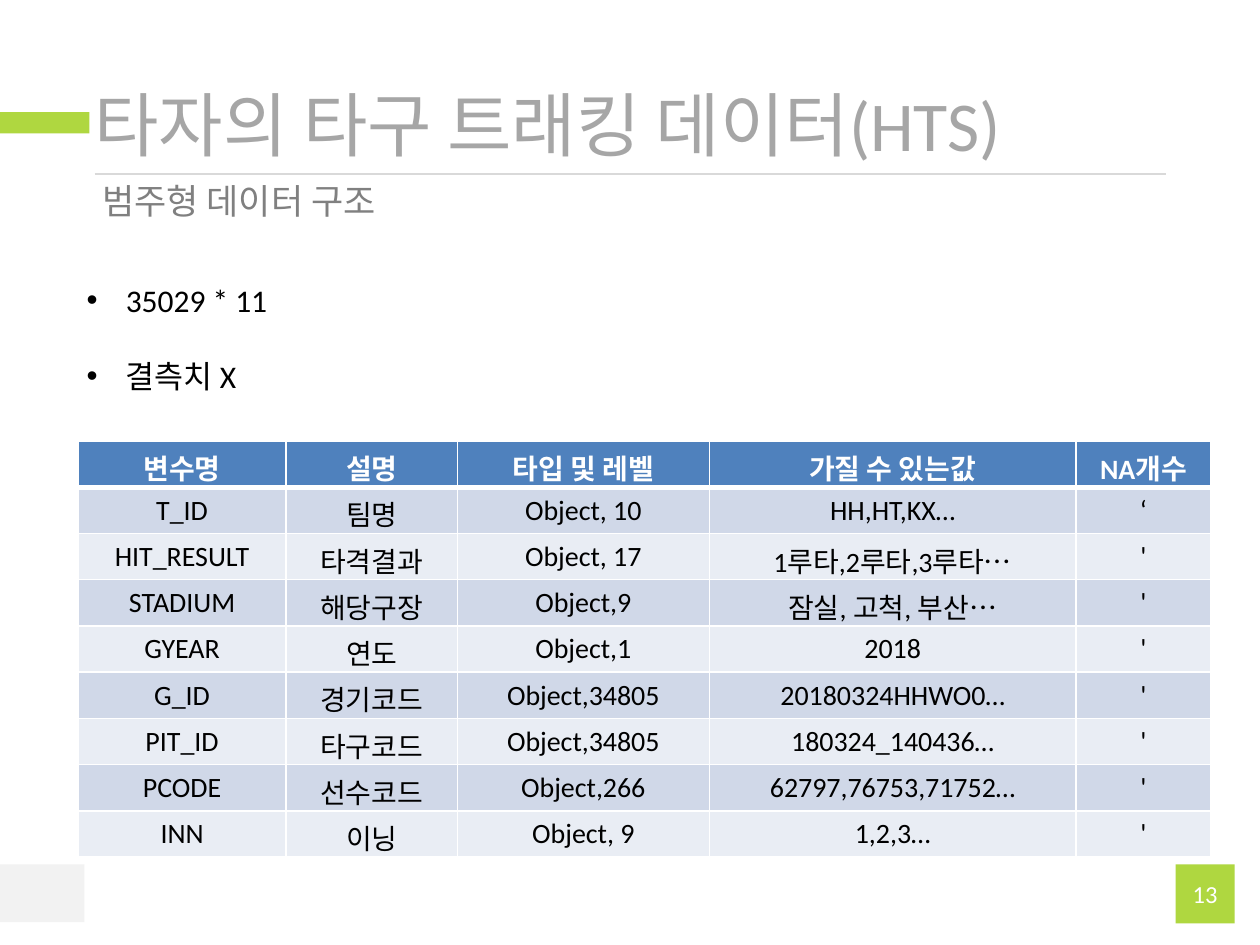
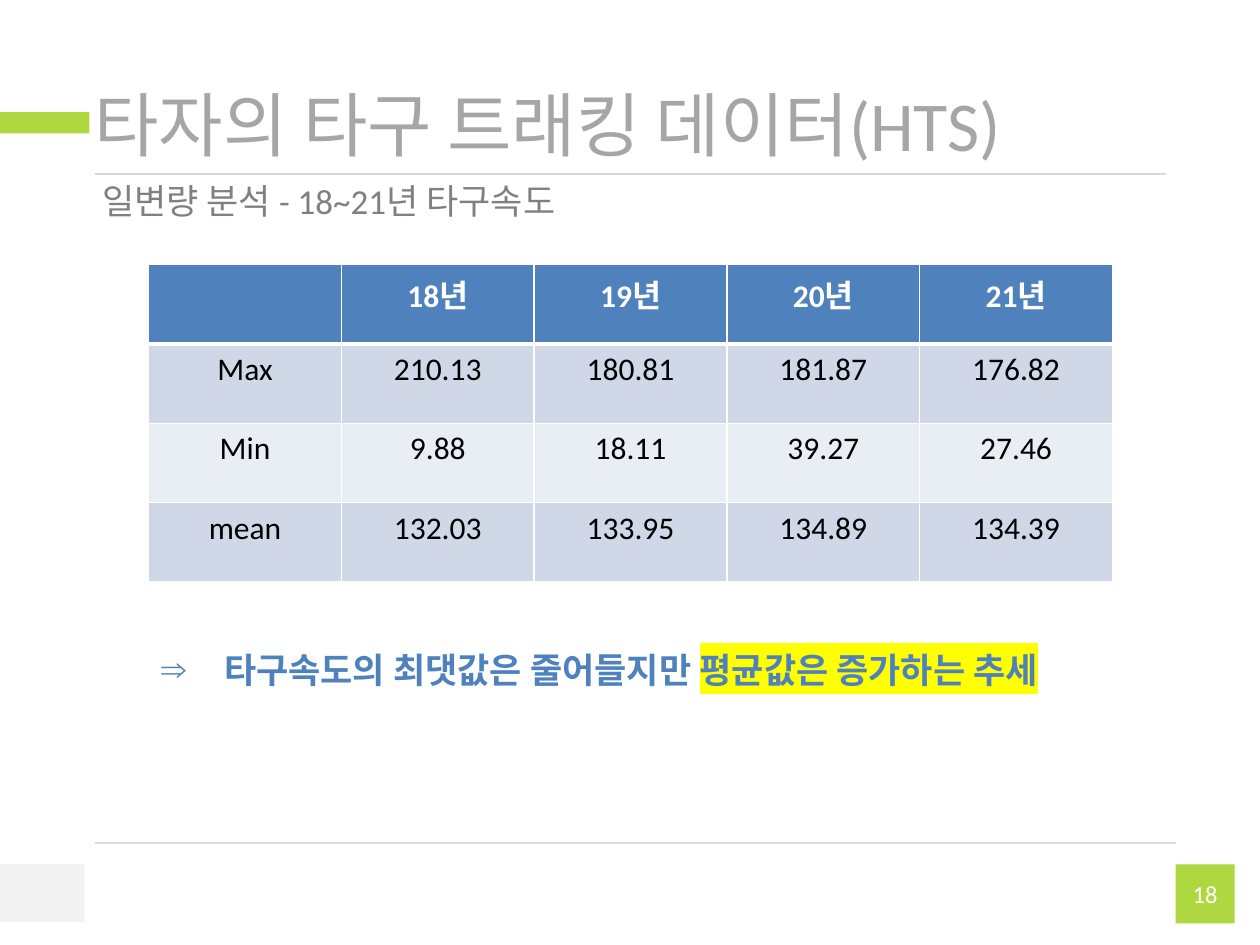
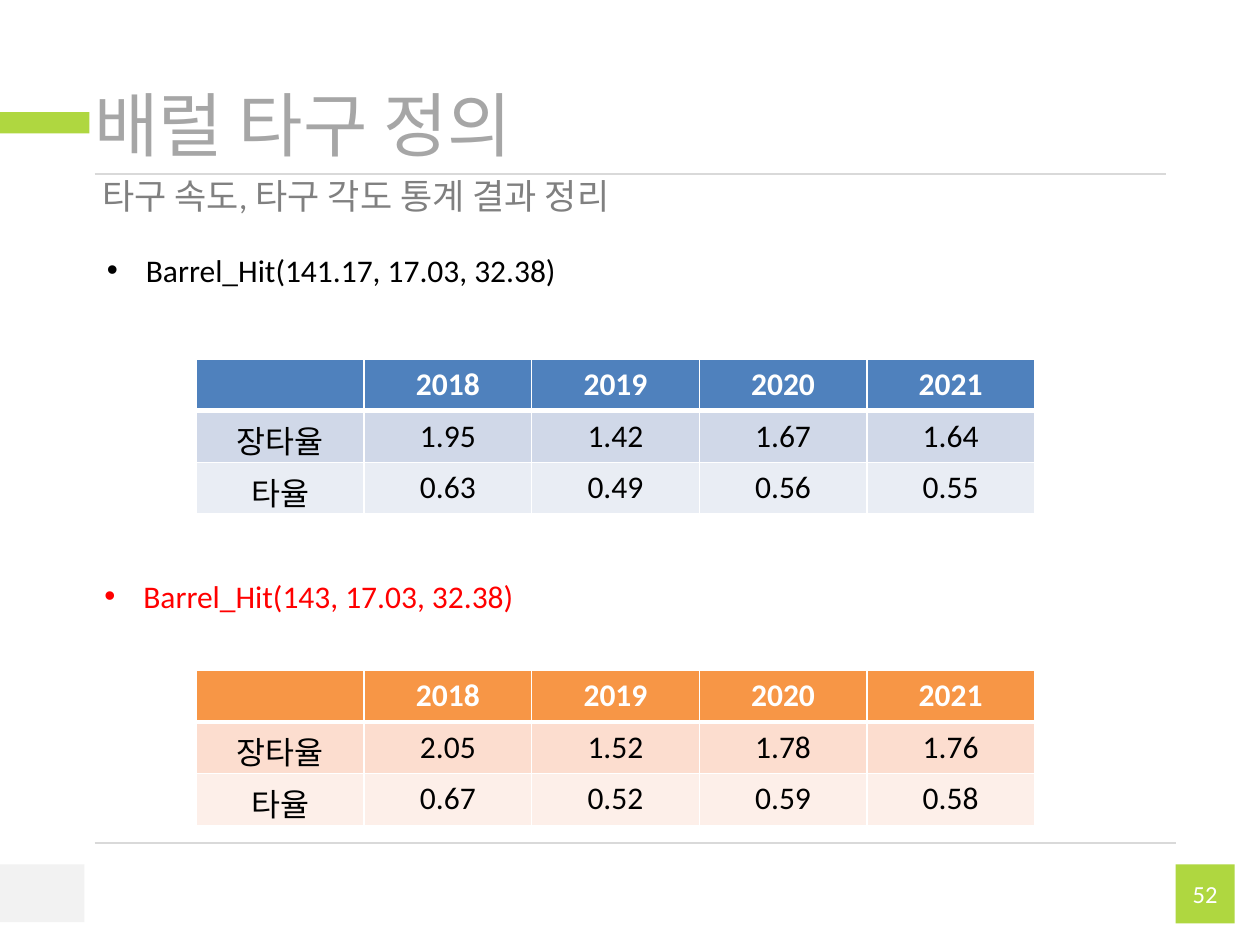
from lxml import etree
from pptx import Presentation
from pptx.dml.color import RGBColor
from pptx.enum.shapes import MSO_CONNECTOR, MSO_SHAPE
from pptx.enum.text import MSO_ANCHOR, PP_ALIGN
from pptx.oxml.ns import qn
from pptx.util import Inches, Pt

LEFT, MID = PP_ALIGN.LEFT, PP_ALIGN.CENTER
TOP, CORE = MSO_ANCHOR.TOP, MSO_ANCHOR.MIDDLE
RECT, LINE = MSO_SHAPE.RECTANGLE, MSO_CONNECTOR.STRAIGHT
UNIT = Inches(0.01)
FONT = "Calibri"
LIME, PALE, RULE = "AFD740", "F2F2F2", "D9D9D9"
GREY, DIM = "A6A6A6", "808080"
WHITE, BLACK, RED, BLUE = "FFFFFF", "000000", "FF0000", "4F81BD"
COOL = [BLUE, "D0D8E8", "E9EDF4"]
WARM = ["F79646", "FCDDCF", "FDEFE9"]


def hue(code):
    return RGBColor.from_string(code)


def write(frame, *lines, size=18, color=BLACK, bold=False, align=LEFT, anchor=TOP,
          pad=(10, 5, 10, 5), bullet="", hang=0, gap=0, mark=""):
    frame.word_wrap = True
    frame.vertical_anchor = anchor
    (frame.margin_left, frame.margin_top,
     frame.margin_right, frame.margin_bottom) = [n * UNIT for n in pad]
    for i, line in enumerate(lines):
        para = frame.add_paragraph() if i else frame.paragraphs[0]
        para.alignment = align
        if i and gap:
            para.space_before = Pt(gap)
        if bullet:
            props = para._p.get_or_add_pPr()
            props.set("marL", str(hang * UNIT))
            props.set("indent", str(-hang * UNIT))
            etree.SubElement(props, qn("a:buFont")).set("typeface", "Arial")
            etree.SubElement(props, qn("a:buChar")).set("char", bullet)
        for part in [line, mark] if mark else [line]:
            run = para.add_run()
            run.text = part
            run.font.name = FONT
            run.font.size = Pt(size)
            run.font.bold = bold
            run.font.color.rgb = hue(color)
            if part == mark:
                light = etree.Element(qn("a:highlight"))
                etree.SubElement(light, qn("a:srgbClr")).set("val", "FFFF00")
                run._r.rPr.find(qn("a:solidFill")).addnext(light)


HITS = "타자의 타구 트래킹 데이터(HTS)"
YEARS = ["", "2018", "2019", "2020", "2021"]

fields = [
    ["변수명", "설명", "타입 및 레벨", "가질 수 있는값", "NA개수"],
    ["T_ID", "팀명", "Object, 10", "HH,HT,KX…", "‘"],
    ["HIT_RESULT", "타격결과", "Object, 17", "1루타,2루타,3루타…", "'"],
    ["STADIUM", "해당구장", "Object,9", "잠실, 고척, 부산…", "'"],
    ["GYEAR", "연도", "Object,1", "2018", "'"],
    ["G_ID", "경기코드", "Object,34805", "20180324HHWO0…", "'"],
    ["PIT_ID", "타구코드", "Object,34805", "180324_140436…", "'"],
    ["PCODE", "선수코드", "Object,266", "62797,76753,71752…", "'"],
    ["INN", "이닝", "Object, 9", "1,2,3…", "'"],
]
speeds = [
    ["", "18년", "19년", "20년", "21년"],
    ["Max", "210.13", "180.81", "181.87", "176.82"],
    ["Min", "9.88", "18.11", "39.27", "27.46"],
    ["mean", "132.03", "133.95", "134.89", "134.39"],
]
base = [
    YEARS,
    ["장타율", "1.95", "1.42", "1.67", "1.64"],
    ["타율", "0.63", "0.49", "0.56", "0.55"],
]
fast = [
    YEARS,
    ["장타율", "2.05", "1.52", "1.78", "1.76"],
    ["타율", "0.67", "0.52", "0.59", "0.58"],
]

dot = dict(bullet="•", hang=31)
pages = [
    dict(num="13", title=HITS, sub="범주형 데이터 구조", drop=147,
         grids=[(62, 350, [165, 136, 200, 291, 107], 36.6, 16, COOL, fields)],
         notes=[((59, 218, 300, 101), ["35029 * 11", "결측치 X"], dict(dot, gap=22))]),
    dict(num="18", title=HITS, sub="일변량 분석 - 18~21년 타구속도", drop=147,
         grids=[(118, 210, [153] * 5, 63, 18, COOL, speeds)],
         notes=[((118, 510, 770, 44), ["타구속도의 최댓값은 줄어들지만 "],
                 dict(size=20, color=BLUE, bold=True, bullet="⇒", hang=50,
                      mark="평균값은 증가하는 추세"))]),
    dict(num="52", title="배럴 타구 정의", sub="타구 속도, 타구 각도 통계 결과 정리", drop=143,
         grids=[(156, 285, [133] * 5, 41, 18, COOL, base),
                (156, 532, [133] * 5, 41, 18, WARM, fast)],
         notes=[((73, 453, 400, 40), ["Barrel_Hit(143, 17.03, 32.38)"],
                 dict(dot, color=RED)),
                ((75, 194, 400, 40), ["Barrel_Hit(141.17, 17.03, 32.38)"], dot)]),
]

deck = Presentation()
deck.slide_width, deck.slide_height = 1000 * UNIT, 750 * UNIT

for page in pages:
    shapes = deck.slides.add_slide(deck.slide_layouts[6]).shapes

    for spot, fill, label in [((933, 686, 47, 47), LIME, page["num"]),
                              ((0, 686, 67, 46), PALE, ""),
                              ((0, 89, 71, 17), LIME, "")]:
        box = shapes.add_shape(RECT, *[n * UNIT for n in spot])
        box.shadow.inherit = False
        box.fill.solid()
        box.fill.fore_color.rgb = hue(fill)
        box.line.fill.background()
        if label:
            write(box.text_frame, label, size=14, color=WHITE, align=MID,
                  anchor=CORE, pad=(0, 0, 0, 0))

    for end, row in [(925, 138), (933, 669)]:
        rule = shapes.add_connector(LINE, 75 * UNIT, row * UNIT, end * UNIT, row * UNIT)
        rule.line.color.rgb = hue(RULE)
        rule.line.width = Pt(0.75)
        etree.SubElement(rule._element.spPr, qn("a:effectLst"))

    heads = [
        ((75, 60, 851, 76), [page["title"]],
         dict(size=40, color=GREY, anchor=CORE, pad=(0, 0, 10, 0))),
        ((73, page["drop"], 852, 24), [page["sub"]],
         dict(size=20, color=DIM, anchor=CORE, pad=(8, 5, 10, 5))),
    ]
    for spot, lines, look in heads + page["notes"]:
        box = shapes.add_textbox(*[n * UNIT for n in spot])
        write(box.text_frame, *lines, **look)

    for left, top, cols, high, size, tints, rows in page["grids"]:
        tall = int(high * UNIT)
        table = shapes.add_table(len(rows), len(cols), left * UNIT, top * UNIT,
                                 sum(cols) * UNIT, tall * len(rows)).table
        for col, wide in zip(table.columns, cols):
            col.width = wide * UNIT
        for r, row in enumerate(rows):
            table.rows[r].height = tall
            tint = tints[0] if r == 0 else tints[2 - r % 2]
            for c, word in enumerate(row):
                cell = table.cell(r, c)
                props = cell._tc.get_or_add_tcPr()
                for side in "LRTB":
                    thick = (side, r) in [("B", 0), ("T", 1)]
                    edge = etree.SubElement(props, qn("a:ln" + side))
                    edge.set("w", str(Pt(3 if thick else 1)))
                    paint = etree.SubElement(edge, qn("a:solidFill"))
                    etree.SubElement(paint, qn("a:srgbClr")).set("val", WHITE)
                cell.fill.solid()
                cell.fill.fore_color.rgb = hue(tint)
                if word:
                    write(cell.text_frame, word, size=size, bold=r == 0, align=MID,
                          color=BLACK if r else WHITE)

deck.save("out.pptx")
